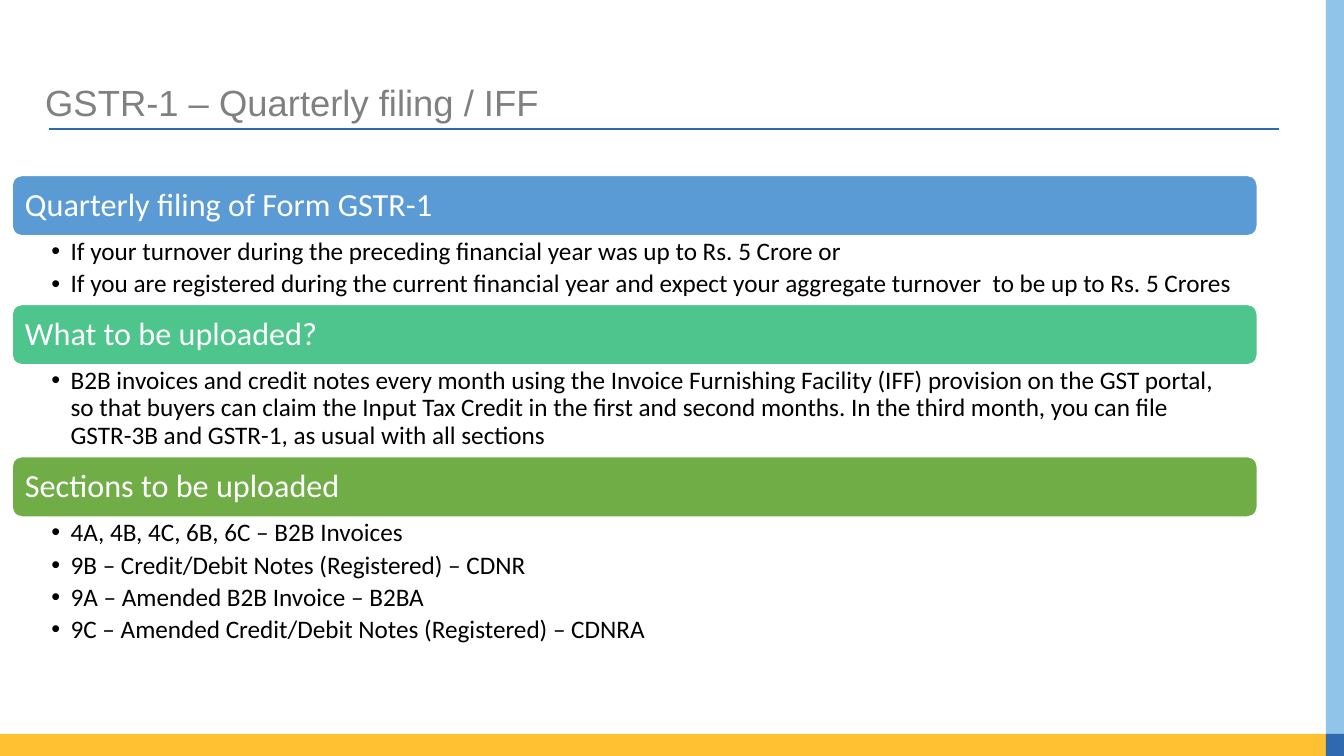
from lxml import etree
from pptx import Presentation
from pptx.dml.color import RGBColor
from pptx.enum.shapes import MSO_CONNECTOR, MSO_SHAPE
from pptx.enum.text import MSO_ANCHOR, PP_ALIGN
from pptx.oxml.ns import qn
from pptx.util import Inches, Pt

RECTANGLE = MSO_SHAPE.RECTANGLE
ROUNDED = MSO_SHAPE.ROUNDED_RECTANGLE
STRAIGHT = MSO_CONNECTOR.STRAIGHT
TOP = MSO_ANCHOR.TOP
MIDDLE = MSO_ANCHOR.MIDDLE
LEFT = PP_ALIGN.LEFT

SLIDE_WIDTH, SLIDE_HEIGHT = 13.33, 7.5
SIDE_WIDTH, FOOTER_HEIGHT = 0.18, 0.22
HEADING_HEIGHT = 0.6
BULLET_INDENT = 0.19

COLORS = {
    "footer": "FFC031",
    "side": "90C4E9",
    "accent": "2F69B0",
    "title": "808080",
    "blue": "5B9BD5",
    "teal": "4DC58D",
    "green": "70AD47",
    "white": "FFFFFF",
    "black": "000000",
}

SECTIONS = [
    ("Quarterly filing of Form GSTR-1", "blue", 0.68, [
        "If your turnover during the preceding financial year was up to Rs. 5 Crore or",
        "If you are registered during the current financial year and expect your "
        "aggregate turnover  to be up to Rs. 5 Crores",
    ]),
    ("What to be uploaded?", "teal", 0.91, [
        "B2B invoices and credit notes every month using the Invoice Furnishing Facility "
        "(IFF) provision on the GST portal, so that buyers can claim the Input Tax Credit "
        "in the first and second months. In the third month, you can file GSTR-3B and "
        "GSTR-1, as usual with all sections",
    ]),
    ("Sections to be uploaded", "green", 1.35, [
        "4A, 4B, 4C, 6B, 6C – B2B Invoices",
        "9B – Credit/Debit Notes (Registered) – CDNR",
        "9A – Amended B2B Invoice – B2BA",
        "9C – Amended Credit/Debit Notes (Registered) – CDNRA",
    ]),
]


def color(name):
    return RGBColor.from_string(COLORS[name])


def add_bullet(paragraph):
    properties = paragraph._p.get_or_add_pPr()
    properties.set("marL", str(Inches(BULLET_INDENT)))
    properties.set("indent", str(-Inches(BULLET_INDENT)))
    etree.SubElement(properties, qn("a:buFont")).set("typeface", "Arial")
    etree.SubElement(properties, qn("a:buChar")).set("char", "•")


def write_text(shape, lines, size, fill, font="Calibri", anchor=MIDDLE,
               insets=(0.1, 0.05, 0.1, 0.05), bullets=False, space_after=0):
    frame = shape.text_frame
    frame.word_wrap = True
    frame.vertical_anchor = anchor
    (frame.margin_left, frame.margin_top,
     frame.margin_right, frame.margin_bottom) = map(Inches, insets)
    for index, line in enumerate(lines):
        paragraph = frame.paragraphs[0] if index == 0 else frame.add_paragraph()
        if bullets:
            add_bullet(paragraph)
        paragraph.alignment = LEFT
        paragraph.line_spacing = 0.9
        paragraph.space_after = Pt(space_after)
        run = paragraph.add_run()
        run.text = line
        run.font.name = font
        run.font.size = Pt(size)
        run.font.color.rgb = color(fill)


def add_block(slide, kind, box, fill, line=None):
    shape = slide.shapes.add_shape(kind, *map(Inches, box))
    shape.shadow.inherit = False
    shape.fill.solid()
    shape.fill.fore_color.rgb = color(fill)
    if line:
        shape.line.color.rgb = color(line)
        shape.line.width = Pt(1)
    else:
        shape.line.fill.background()
    return shape


def add_frame(slide, width, height):
    side_left = width - SIDE_WIDTH
    footer_top = height - FOOTER_HEIGHT
    add_block(slide, RECTANGLE, (0, footer_top, side_left, FOOTER_HEIGHT), "footer")
    add_block(slide, RECTANGLE, (side_left, 0, SIDE_WIDTH, footer_top), "side")
    add_block(slide, RECTANGLE, (side_left, footer_top, SIDE_WIDTH, FOOTER_HEIGHT), "accent")


def add_title(slide, text, left, top, width, height):
    rule_y = Inches(top + height - 0.01)
    rule = slide.shapes.add_connector(
        STRAIGHT, Inches(left + 0.14), rule_y, Inches(left + width - 0.01), rule_y)
    rule.line.color.rgb = color("accent")
    rule.line.width = Pt(0.82)
    etree.SubElement(rule._element.spPr, qn("a:effectLst"))
    title = slide.shapes.add_textbox(*map(Inches, (left, top, width, height)))
    write_text(title, [text], 26, "title", font="Arial")


def add_sections(slide, sections, left, top, width):
    for heading, fill, body_height, bullets in sections:
        band = add_block(slide, ROUNDED, (left, top, width, HEADING_HEIGHT), fill, "white")
        write_text(band, [heading], 23, "white", insets=(0.1, 0.1, 0.1, 0.1))
        top += HEADING_HEIGHT
        body = slide.shapes.add_textbox(*map(Inches, (left, top, width, body_height)))
        write_text(body, bullets, 18, "black", anchor=TOP,
                   insets=(0.39, 0.03, 0.18, 0.03), bullets=True, space_after=3.6)
        top += body_height


def main():
    presentation = Presentation()
    presentation.slide_width = Inches(SLIDE_WIDTH)
    presentation.slide_height = Inches(SLIDE_HEIGHT)
    slide = presentation.slides.add_slide(presentation.slide_layouts[6])
    add_frame(slide, SLIDE_WIDTH, SLIDE_HEIGHT)
    add_title(slide, "GSTR-1 – Quarterly filing / IFF", 0.35, 0.79, 12.35, 0.5)
    add_sections(slide, SECTIONS, 0.12, 1.74, 12.35)
    presentation.save("out.pptx")


if __name__ == "__main__":
    main()
